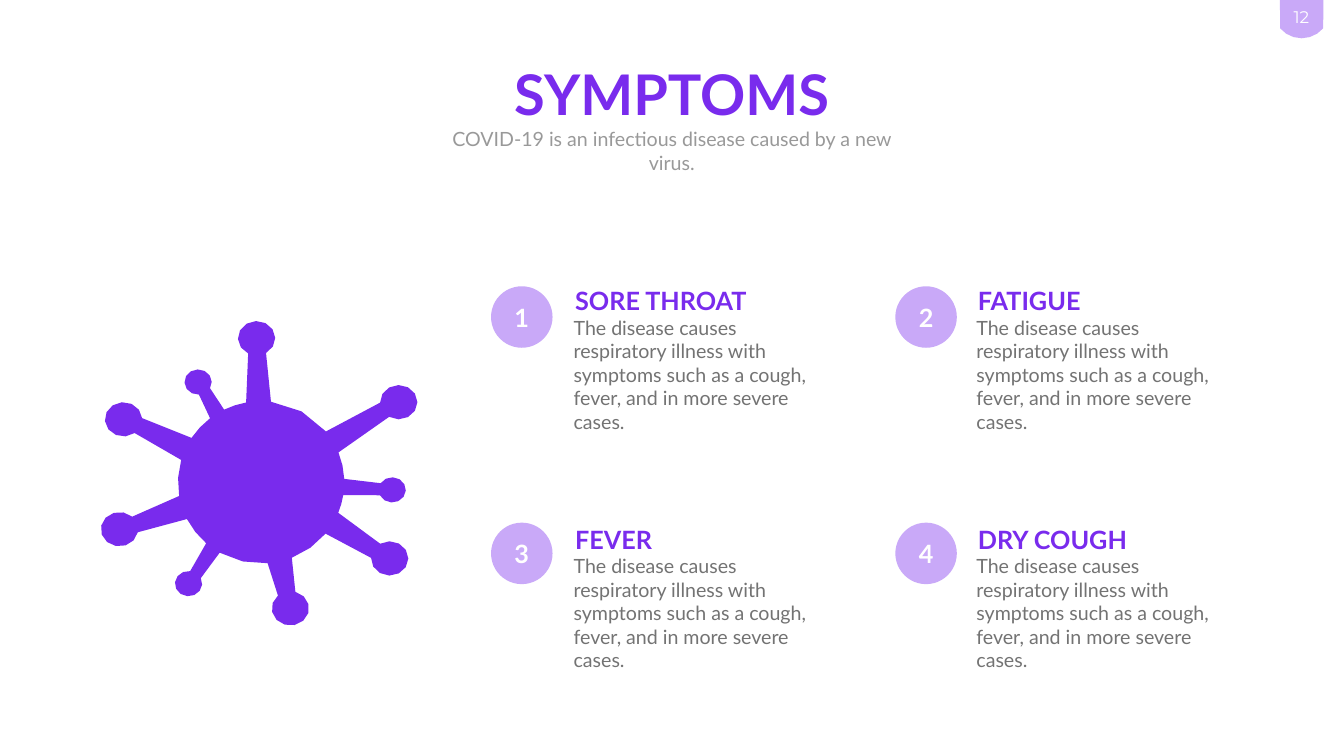
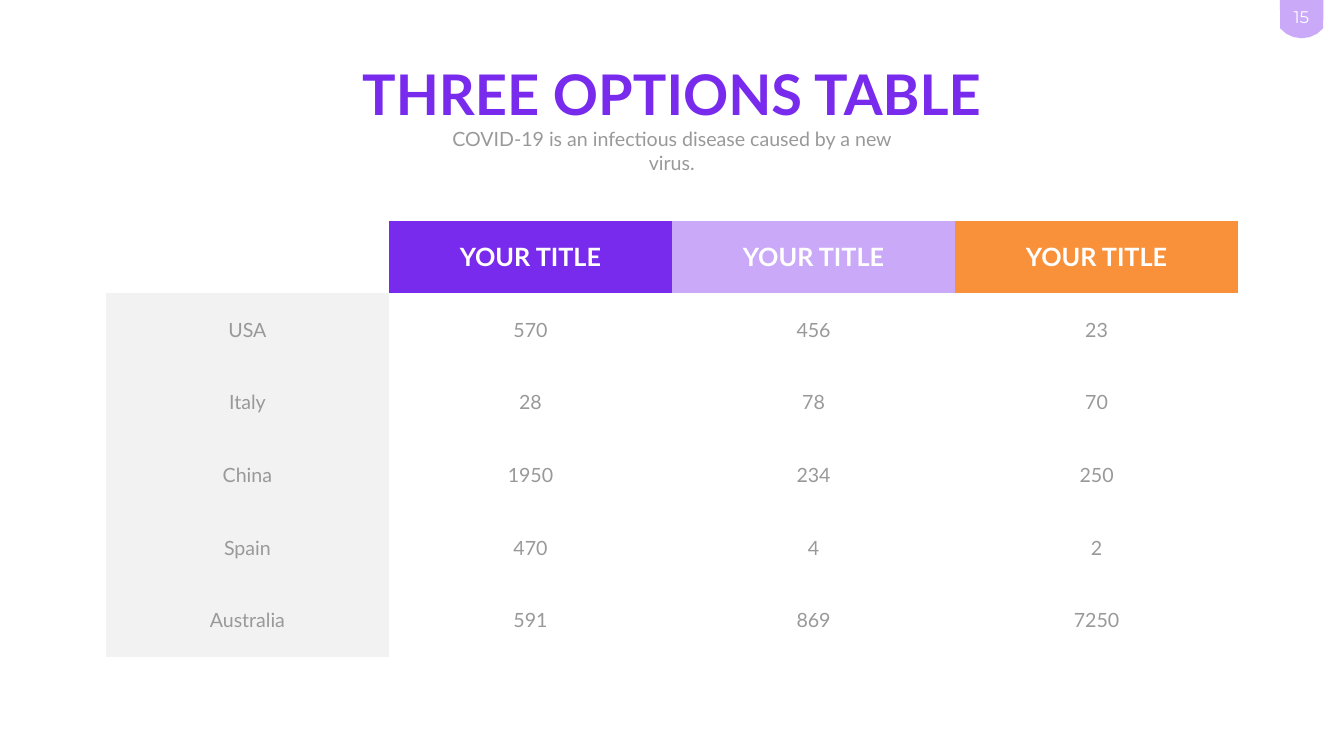
"""Build the symptoms slide and the options table slide."""
from math import atan2, cos, pi, sin, tau

from pptx import Presentation
from pptx.dml.color import RGBColor
from pptx.enum.shapes import MSO_SHAPE as Shape
from pptx.enum.text import MSO_ANCHOR as Anchor, MSO_AUTO_SIZE as Fit, PP_ALIGN as Align
from pptx.util import Inches, Pt

VIOLET = RGBColor(0x79, 0x2B, 0xED)
LILAC = RGBColor(0xC9, 0xA9, 0xF8)
ORANGE = RGBColor(0xF8, 0x91, 0x3A)
WHITE = RGBColor(0xFF, 0xFF, 0xFF)
PALE = RGBColor(0xF2, 0xF2, 0xF2)
GREY = RGBColor(0x99, 0x99, 0x99)
DARK = RGBColor(0x73, 0x73, 0x73)

PLAIN_TABLE = "{2D5ABB26-0587-4C30-8999-92F81FD0307C}"
LEAD = "COVID-19 is an infectious disease caused by a new virus."
DETAIL = ("The disease causes respiratory illness with symptoms such as a cough, "
          "fever, and in more severe cases.")
SIGNS = ["SORE THROAT", "FATIGUE", "FEVER", "DRY COUGH"]
BODY = (5.18, 9.57, 1.65, 1.61)
BIG, SMALL = (0.37, 0.34, 0.15), (0.27, 0.25, 0.1)
SPIKES = [
    (7.78, 9.72, SMALL), (7.73, 11.08, BIG), (5.76, 12.07, BIG),
    (3.74, 11.58, SMALL), (2.37, 10.5, BIG), (2.45, 8.32, BIG),
    (3.93, 7.58, SMALL), (5.09, 6.71, BIG), (7.91, 7.98, BIG),
]
ROWS = [
    ["", "YOUR TITLE", "YOUR TITLE", "YOUR TITLE"],
    ["USA", "570", "456", "23"],
    ["Italy", "28", "78", "70"],
    ["China", "1950", "234", "250"],
    ["Spain", "470", "4", "2"],
    ["Australia", "591", "869", "7250"],
]


def write(frame, text, size, color, bold=False, align=Align.CENTER, font="Lato"):
    """Fill a text frame with one styled paragraph."""
    frame.text = text
    para = frame.paragraphs[0]
    para.alignment = align
    para.space_before = Pt(0)
    for run in para.runs:
        run.font.name = font
        run.font.size = Pt(size)
        run.font.bold = bold
        run.font.color.rgb = color


def place(shape, left, top, width, height):
    """Move a shape and make its text wrap from the top."""
    shape.left, shape.top = Inches(left), Inches(top)
    shape.width, shape.height = Inches(width), Inches(height)
    frame = shape.text_frame
    frame.word_wrap = True
    frame.auto_size = Fit.NONE
    frame.vertical_anchor = Anchor.TOP
    return frame


def add_text(slide, box, text, size, color, **style):
    """Add a text box and return its frame."""
    frame = place(slide.shapes.add_textbox(0, 0, 0, 0), *box)
    write(frame, text, size, color, **style)
    return frame


def paint(shape, color):
    """Give a shape a flat fill without line or shadow."""
    shape.fill.solid()
    shape.fill.fore_color.rgb = color
    shape.line.fill.background()
    shape.shadow.inherit = False


def draw(slide, points, color):
    """Add a closed outline through points given in inches."""
    dots = [(Inches(x), Inches(y)) for x, y in points]
    pen = slide.shapes.build_freeform(*dots[0])
    pen.add_line_segments(dots[1:], close=True)
    paint(pen.convert_to_shape(), color)


def arc(x, y, wide, high, start, end, steps):
    """Return points on an ellipse from one angle to another."""
    turns = [start + (end - start) * i / steps for i in range(steps + 1)]
    return [(x + wide * cos(t), y + high * sin(t)) for t in turns]


def add_virus(slide):
    """Draw the round virus, one knobbed spike after another."""
    mid_x, mid_y = BODY[:2]
    angles = [atan2(y - mid_y, x - mid_x) % tau for x, y, _ in SPIKES]
    nexts = angles[1:] + [angles[0] + tau]
    kinds = [kind for _, _, kind in SPIKES]
    points = []
    for i, (x, y, (wide, high, base)) in enumerate(SPIKES):
        turn = angles[i]
        gap = kinds[(i + 1) % len(kinds)][2]
        points += arc(x, y, wide, high, turn + pi + 0.5, turn + 3 * pi - 0.5, 10)
        points += arc(*BODY, turn + base, nexts[i] - gap, 2)
    draw(slide, points, VIOLET)


def add_page(deck, title, number):
    """Add a slide with page badge, title and lead line."""
    slide = deck.slides.add_slide(deck.slide_layouts[0])
    curve = arc(25.82, 0.2, 0.56, 0.56, 0.7, pi - 0.7, 6)
    draw(slide, [(25.39, 0), (26.25, 0)] + curve, LILAC)
    frame = add_text(slide, (25.38, 0.03, 1.03, 0.61), str(number), 24, WHITE,
                     font="Montserrat")
    frame.margin_left, frame.margin_right = Inches(0.2), Inches(0.36)
    frame.margin_top = frame.margin_bottom = Inches(0.1)
    head, lead = slide.placeholders
    write(place(head, 3.45, 1.14, 19.75, 1.45), title, 80, VIOLET, bold=True)
    write(place(lead, 8.55, 2.47, 9.55, 0.57), LEAD, 28, GREY)
    return slide


def add_sign(slide, index, name):
    """Add one numbered symptom to the grid of two columns."""
    row, col = divmod(index, 2)
    left, top = 11.31 + 7.99 * col, 5.62 + 4.73 * row
    add_text(slide, (left, top, 5.35, 0.71), name, 36, VIOLET,
             bold=True, align=Align.LEFT)
    add_text(slide, (left - 0.03, top + 0.59, 5.35, 1.99), DETAIL, 28, DARK,
             align=Align.LEFT)
    disc = slide.shapes.add_shape(Shape.OVAL, Inches(9.74 + 8.02 * col),
                                  Inches(5.68 + 4.69 * row), Inches(1.22), Inches(1.22))
    paint(disc, LILAC)
    disc.text_frame.word_wrap = False
    disc.text_frame.vertical_anchor = Anchor.MIDDLE
    write(disc.text_frame, str(index + 1), 36, WHITE, bold=True)


def add_grid(slide):
    """Add the options table with coloured heads."""
    frame = slide.shapes.add_table(len(ROWS), len(ROWS[0]), Inches(2.1), Inches(4.38),
                                   Inches(22.46), Inches(8.65))
    table = frame.table
    table.horz_banding = table.first_row = False
    table._tbl.tblPr[0].text = PLAIN_TABLE
    fills = {(0, 1): VIOLET, (0, 2): LILAC, (0, 3): ORANGE}
    fills.update({(row, 0): PALE for row in range(1, len(ROWS))})
    for row, texts in enumerate(ROWS):
        for col, text in enumerate(texts):
            cell = table.cell(row, col)
            cell.vertical_anchor = Anchor.MIDDLE
            if (row, col) in fills:
                cell.fill.solid()
                cell.fill.fore_color.rgb = fills[row, col]
            else:
                cell.fill.background()
            if text:
                size, color = (28, GREY) if row else (36, WHITE)
                write(cell.text_frame, text, size, color, bold=row == 0)


def main():
    """Build and save both slides."""
    deck = Presentation()
    deck.slide_width, deck.slide_height = Inches(26.66), Inches(15)
    slide = add_page(deck, "SYMPTOMS", 12)
    add_virus(slide)
    for index, name in enumerate(SIGNS):
        add_sign(slide, index, name)
    add_grid(add_page(deck, "THREE OPTIONS TABLE", 15))
    deck.save("out.pptx")


if __name__ == "__main__":
    main()
